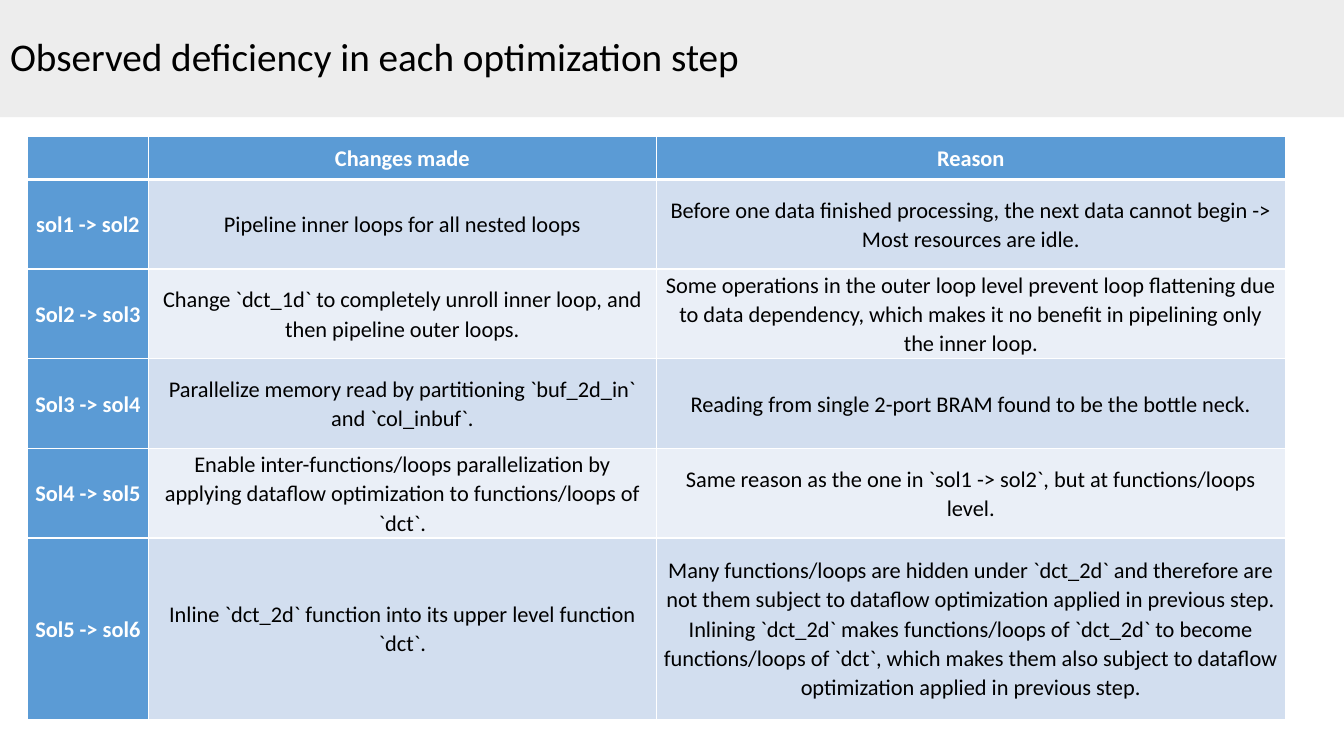
from pptx import Presentation
from pptx.dml.color import RGBColor
from pptx.enum.text import MSO_ANCHOR, MSO_AUTO_SIZE, PP_ALIGN
from pptx.oxml.ns import qn
from pptx.util import Cm, Pt
from lxml.etree import SubElement

COLORS = {
    "band": "EDEDED",
    "head": "5B9BD5",
    "odd": "D2DEEF",
    "even": "EAEFF7",
    "white": "FFFFFF",
    "black": "000000",
}
TITLE = "Observed deficiency in each optimization step"
ROWS = [
    ("", "Changes made", "Reason"),
    ("sol1 -> sol2",
     "Pipeline inner loops for all nested loops",
     "Before one data finished processing, the next data cannot begin -> "
     "Most resources are idle."),
    ("Sol2 -> sol3",
     "Change `dct_1d` to completely unroll inner loop, and then pipeline "
     "outer loops.",
     "Some operations in the outer loop level prevent loop flattening due to "
     "data dependency, which makes it no benefit in pipelining only the "
     "inner loop."),
    ("Sol3 -> sol4",
     "Parallelize memory read by partitioning `buf_2d_in` and `col_inbuf`.",
     "Reading from single 2-port BRAM found to be the bottle neck."),
    ("Sol4 -> sol5",
     "Enable inter-functions/loops parallelization by applying dataflow "
     "optimization to functions/loops of `dct`.",
     "Same reason as the one in `sol1 -> sol2`, but at functions/loops level."),
    ("Sol5 -> sol6",
     "Inline `dct_2d` function into its upper level function `dct`.",
     "Many functions/loops are hidden under `dct_2d` and therefore are not "
     "them subject to dataflow optimization applied in previous step. "
     "Inlining `dct_2d` makes functions/loops of `dct_2d` to become "
     "functions/loops of `dct`, which makes them also subject to dataflow "
     "optimization applied in previous step."),
]
WIDTHS = [3.05, 12.8, 15.85]
HEIGHTS = [1.09] + [2.26] * 4 + [4.57]


class Deck:
    """Hold the style and the current slide."""

    font = "Calibri"

    def __init__(self, width, height):
        """Open a deck with one title-only slide."""
        self.prs = Presentation()
        self.prs.slide_width, self.prs.slide_height = Cm(width), Cm(height)
        self.slide = self.prs.slides.add_slide(self.prs.slide_layouts[5])

    def paint(self, fill, color):
        """Give a fill one solid colour."""
        fill.solid()
        fill.fore_color.rgb = RGBColor.from_string(COLORS[color])

    def style(self, frame, size, color, bold, align, lines, gap):
        """Format all paragraphs and runs of a text frame."""
        for par in frame.paragraphs:
            par.alignment, par.line_spacing = align, lines
            par.space_before = par.space_after = Pt(gap)
            for run in par.runs:
                run.font.name, run.font.size = self.font, Pt(size)
                run.font.bold = bold
                run.font.color.rgb = RGBColor.from_string(COLORS[color])

    def title(self, text, height):
        """Set the title in a band across the top."""
        band = self.slide.shapes.title
        band.left = band.top = 0
        band.width, band.height = self.prs.slide_width, Cm(height)
        self.paint(band.fill, "band")
        frame = band.text_frame
        frame.text = text
        frame.word_wrap = True
        frame.auto_size = MSO_AUTO_SIZE.NONE
        frame.vertical_anchor = MSO_ANCHOR.MIDDLE
        self.style(frame, 28, "black", False, PP_ALIGN.LEFT, 0.9, 6)

    def border(self, cell, **sides):
        """Draw white cell borders, widths in points by side."""
        props = cell._tc.get_or_add_tcPr()
        for side, width in sides.items():
            line = SubElement(props, qn(f"a:ln{side}"), w=str(Pt(width)))
            fill = SubElement(line, qn("a:solidFill"))
            SubElement(fill, qn("a:srgbClr"), val=COLORS["white"])

    def cell(self, cell, text, row, col):
        """Fill and format one table cell."""
        head = row == 0 or col == 0
        self.border(cell, L=1, R=1, T=3 if row == 1 else 1,
                    B=3 if row == 0 else 1)
        self.paint(cell.fill, "head" if head else "odd" if row % 2 else "even")
        cell.vertical_anchor = MSO_ANCHOR.MIDDLE
        cell.margin_left = cell.margin_right = Cm(0.18)
        cell.margin_top = cell.margin_bottom = 0
        cell.text_frame.text = text
        self.style(cell.text_frame, 16, "white" if head else "black", head,
                   PP_ALIGN.CENTER, 1.07, 2)

    def table(self, left, top, widths, heights, rows):
        """Add a table with a header row and a header column."""
        grid = self.slide.shapes.add_table(
            len(heights), len(widths), Cm(left), Cm(top),
            Cm(sum(widths)), Cm(sum(heights))).table
        for col, width in zip(grid.columns, widths):
            col.width = Cm(width)
        for row, height in zip(grid.rows, heights):
            row.height = Cm(height)
        for r, texts in enumerate(rows):
            for c, text in enumerate(texts):
                self.cell(grid.cell(r, c), text, r, c)


deck = Deck(33.87, 19.05)
deck.title(TITLE, 2.95)
deck.table(0.69, 3.43, WIDTHS, HEIGHTS, ROWS)
deck.prs.save("out.pptx")
